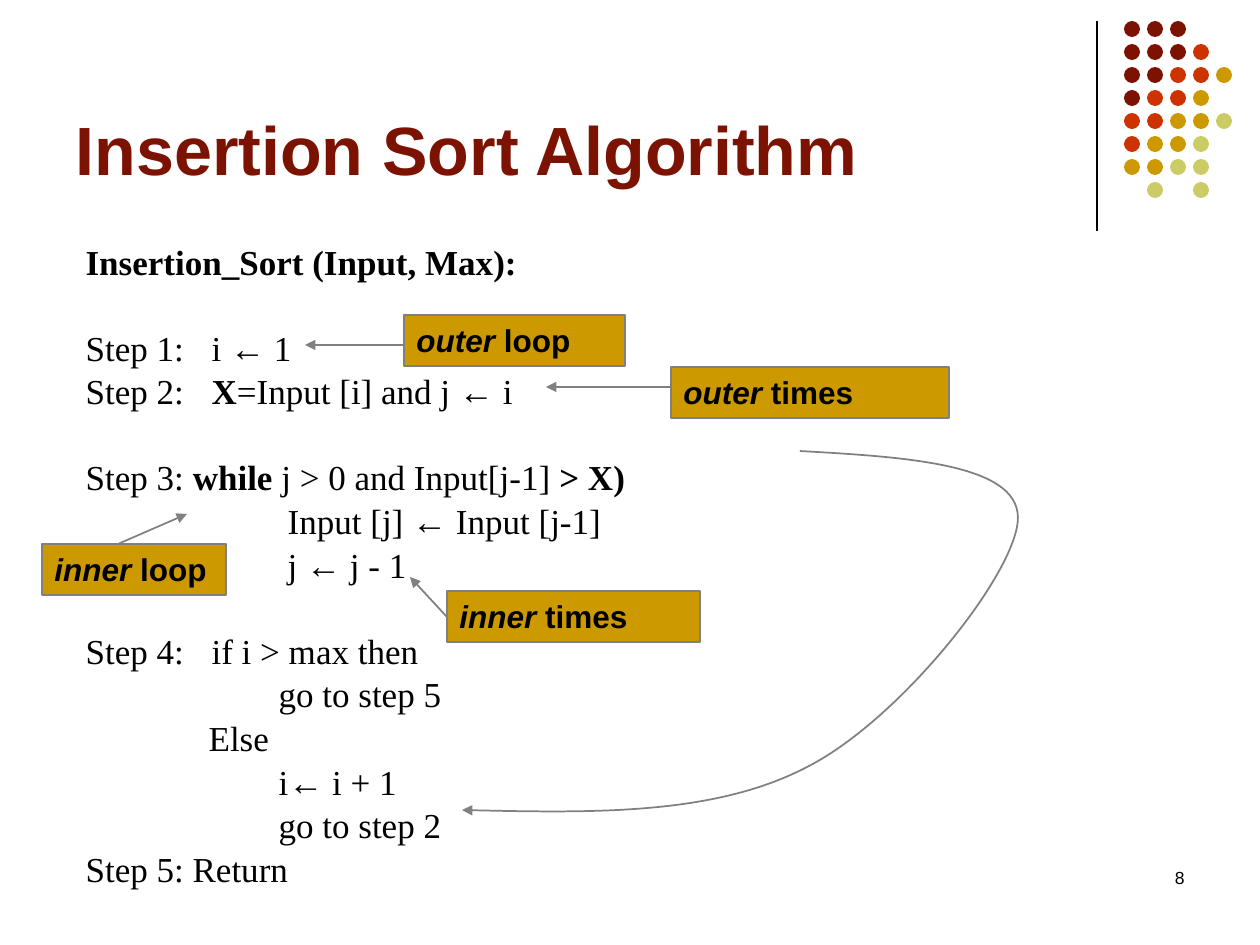
from dataclasses import dataclass
from typing import NamedTuple

from lxml.etree import SubElement
from pptx import Presentation
from pptx.dml.color import RGBColor
from pptx.enum.shapes import MSO_CONNECTOR as Connector, MSO_SHAPE as Shape
from pptx.enum.text import MSO_ANCHOR as Anchor, MSO_AUTO_SIZE as AutoSize, PP_ALIGN as Align
from pptx.oxml.ns import qn
from pptx.util import Emu, Pt

PX = 914400 / 126


@dataclass(frozen=True)
class Theme:
    maroon: str = "7C1302"
    red: str = "CC3300"
    gold: str = "CC9900"
    lime: str = "CCCC66"
    black: str = "000000"
    grey: str = "808080"
    sans: str = "Arial"
    serif: str = "Times New Roman"
    title_size: int = 39
    step_size: int = 20
    label_size: int = 18
    number_size: int = 10


THEME = Theme()


class Point(NamedTuple):
    x: int
    y: int


class Box(NamedTuple):
    left: int
    top: int
    width: int
    height: int


class Callout(NamedTuple):
    box: Box
    loop: str
    noun: str
    tail: Point
    head: Point


class Step(NamedTuple):
    wording: tuple[str, ...]  # plain and bold pieces take turns, plain first
    indent: int = 0
    new_block: bool = False


class Curve(NamedTuple):
    control_1: Point
    control_2: Point
    end: Point


DOT_ROWS = ("MMM", "MMMR", "MMRRG", "MRRG", "RRGGL", "RGGL", "GGLL", " L L")
DOT_COLORS = {"M": THEME.maroon, "R": THEME.red, "G": THEME.gold, "L": THEME.lime}
DOT_START, DOT_STEP, DOT_SIZE = Point(1124, 21), 23, 16

LOOP_INDENT, BRANCH_INDENT, ELSE_INDENT, STEP_TAB = 202, 193, 123, 125
LINE_GAP, BLOCK_GAP = 5.75, 29.9
STEPS = (
    Step(("", "Insertion_Sort (Input, Max):")),
    Step(("Step 1:\ti ← 1",), new_block=True),
    Step(("Step 2:\t", "X", "=Input [i] and j ← i")),
    Step(("Step 3: ", "while", " j > 0 and Input[j-1] ", "> X)"), new_block=True),
    Step(("Input [j] ← Input [j-1]",), LOOP_INDENT),
    Step(("j ← j - 1",), LOOP_INDENT),
    Step(("Step 4:\tif i > max then",), new_block=True),
    Step(("go to step 5",), BRANCH_INDENT),
    Step(("Else",), ELSE_INDENT),
    Step(("i← i + 1",), BRANCH_INDENT),
    Step(("go to step 2",), BRANCH_INDENT),
    Step(("Step 5: Return",)),
)

CALLOUTS = (
    Callout(Box(404, 315, 221, 51), "outer", "loop", Point(404, 345), Point(305, 345)),
    Callout(Box(671, 367, 278, 51), "outer", "times", Point(671, 387), Point(546, 387)),
    Callout(Box(42, 544, 184, 51), "inner", "loop", Point(118, 544), Point(187, 514)),
    Callout(Box(447, 591, 253, 51), "inner", "times", Point(447, 617), Point(410, 577)),
)

LOOP_BACK_START = Point(800, 451)
LOOP_BACK = (
    Curve(Point(907, 457), Point(1017, 464), Point(1018, 517)),
    Curve(Point(1019, 570), Point(902, 718), Point(809, 766)),
    Curve(Point(717, 815), Point(590, 813), Point(462, 810)),
)


def emu(*lengths: int) -> list[Emu]:
    return [Emu(round(length * PX)) for length in lengths]


def place(shape, box: Box) -> None:
    shape.left, shape.top, shape.width, shape.height = emu(*box)


def write(paragraph, text: str, *, size: int, font: str = THEME.sans,
          color: str = THEME.black, bold: bool = False, italic: bool = False) -> None:
    run = paragraph.add_run()
    run.text = text
    run.font.name, run.font.size = font, Pt(size)
    run.font.bold, run.font.italic = bold, italic
    run.font.color.rgb = RGBColor.from_string(color)


def set_line(line, color: str, width: float, arrow: bool = False) -> None:
    line.color.rgb = RGBColor.from_string(color)
    line.width = Pt(width)
    if arrow:
        SubElement(line._get_or_add_ln(), qn("a:tailEnd"), type="triangle")


def add_line(shapes, start: Point, end: Point, color: str, width: float, arrow: bool = False) -> None:
    connector = shapes.add_connector(Connector.STRAIGHT, *emu(*start, *end))
    set_line(connector.line, color, width, arrow)
    SubElement(connector._element.spPr, qn("a:effectLst"))


def add_filled(shapes, kind: Shape, box: Box, color: str):
    shape = shapes.add_shape(kind, *emu(*box))
    shape.shadow.inherit = False
    shape.fill.solid()
    shape.fill.fore_color.rgb = RGBColor.from_string(color)
    shape.line.fill.background()
    return shape


def add_dots(shapes) -> None:
    dots = shapes.add_group_shape().shapes
    for row, letters in enumerate(DOT_ROWS):
        for column, letter in enumerate(letters):
            if letter in DOT_COLORS:
                box = Box(DOT_START.x + column * DOT_STEP, DOT_START.y + row * DOT_STEP,
                          DOT_SIZE, DOT_SIZE)
                add_filled(dots, Shape.OVAL, box, DOT_COLORS[letter])


def add_step(paragraph, step: Step, first: bool) -> None:
    paragraph.line_spacing = 0.8
    paragraph.space_before = Pt(0 if first else BLOCK_GAP if step.new_block else LINE_GAP)
    properties = paragraph._p.get_or_add_pPr()
    properties.set("marL", str(emu(step.indent)[0]))
    properties.set("indent", "0")
    SubElement(properties, qn("a:buNone"))
    tabs = SubElement(properties, qn("a:tabLst"))
    SubElement(tabs, qn("a:tab"), pos=str(emu(STEP_TAB)[0]), algn="l")
    for index, piece in enumerate(step.wording):
        if piece:
            write(paragraph, piece, size=THEME.step_size, font=THEME.serif, bold=index % 2 == 1)


def add_callout(shapes, callout: Callout) -> None:
    group = shapes.add_group_shape().shapes
    label = add_filled(group, Shape.RECTANGLE, callout.box, THEME.gold)
    set_line(label.line, THEME.grey, 1)
    frame = label.text_frame
    frame.word_wrap, frame.vertical_anchor = True, Anchor.TOP
    frame.auto_size = AutoSize.SHAPE_TO_FIT_TEXT
    paragraph = frame.paragraphs[0]
    paragraph.alignment = Align.LEFT
    write(paragraph, callout.loop, size=THEME.label_size, bold=True, italic=True)
    write(paragraph, f" {callout.noun}", size=THEME.label_size, bold=True)
    add_line(group, callout.tail, callout.head, THEME.grey, 1, arrow=True)


def add_curved_arrow(shapes, start: Point, curves: tuple[Curve, ...]) -> None:
    builder = shapes.build_freeform(*start, scale=PX)
    builder.add_line_segments([curve.end for curve in curves], close=False)
    arrow = builder.convert_to_shape()
    arrow.shadow.inherit = False
    arrow.fill.background()
    set_line(arrow.line, THEME.grey, 1, arrow=True)
    # Turn each straight segment into a Bézier segment
    anchors = [start, *(curve.end for curve in curves)]
    left, top = min(point.x for point in anchors), min(point.y for point in anchors)
    for segment, curve in zip(list(arrow._element.iter(qn("a:lnTo"))), curves):
        bezier = segment.makeelement(qn("a:cubicBezTo"))
        for point in curve:
            SubElement(bezier, qn("a:pt"), x=str(point.x - left), y=str(point.y - top))
        segment.getparent().replace(segment, bezier)


def main() -> None:
    deck = Presentation()
    deck.slide_width, deck.slide_height = emu(1260, 945)
    slide = deck.slides.add_slide(deck.slide_layouts[1])
    shapes = slide.shapes
    heading, algorithm = slide.placeholders

    # Corner decoration
    add_line(shapes, Point(1097, 21), Point(1097, 231), THEME.black, 0.75)
    add_dots(shapes)

    # Title
    place(heading, Box(63, 16, 1040, 179))
    heading.text_frame.vertical_anchor = Anchor.BOTTOM
    heading.text_frame.auto_size = AutoSize.NONE
    title_line = heading.text_frame.paragraphs[0]
    title_line.alignment = Align.LEFT
    write(title_line, "Insertion Sort Algorithm", size=THEME.title_size,
          color=THEME.maroon, bold=True)

    # Algorithm steps
    place(algorithm, Box(73, 242, 1061, 640))
    frame = algorithm.text_frame
    frame.auto_size = AutoSize.NONE
    for index, step in enumerate(STEPS):
        add_step(frame.add_paragraph() if index else frame.paragraphs[0], step, index == 0)

    # Loop callouts and the jump back to step 2
    for callout in CALLOUTS:
        add_callout(shapes, callout)
    add_curved_arrow(shapes, LOOP_BACK_START, LOOP_BACK)

    # Slide number
    page_number = shapes.add_textbox(*emu(903, 861, 294, 63)).text_frame
    page_number.word_wrap = True
    page_number.paragraphs[0].alignment = Align.RIGHT
    write(page_number.paragraphs[0], "8", size=THEME.number_size)

    deck.save("out.pptx")


if __name__ == "__main__":
    main()
